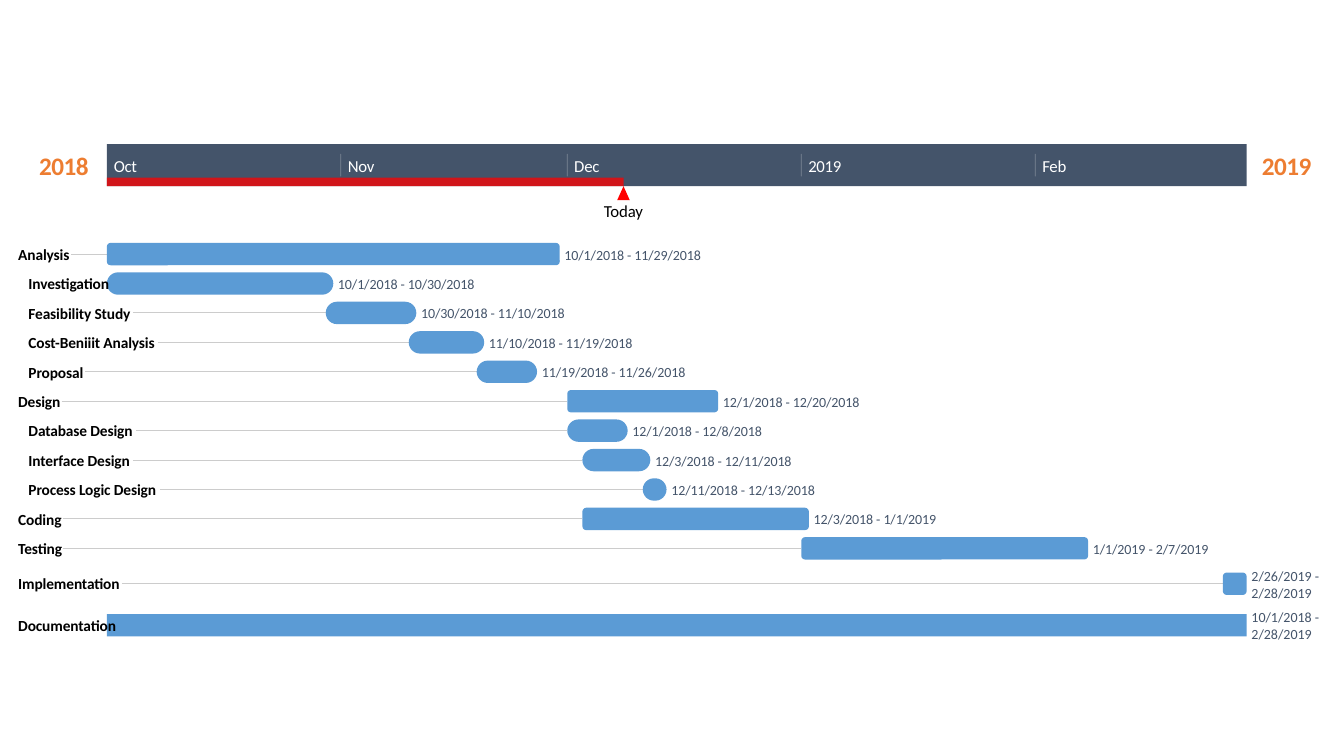
from lxml import etree
from pptx import Presentation, util as u
from pptx.dml import color
from pptx.enum import shapes, text
from pptx.oxml import ns

Pt = u.Pt

# Time scale: days are counted from 1 October 2018
FIRST_DAY = {10: 0, 11: 31, 12: 61, 1: 92, 2: 123}
DAYS = 151
TODAY = 68.45
SCALE_LEFT, SCALE_WIDTH = 76.3, 814.2
SCALE_RIGHT = SCALE_LEFT + SCALE_WIDTH
SCALE_TOP, SCALE_HEIGHT = 103, 30
MONTH_WIDTH = 28

# Rows of tasks
NAME_LEFT, INDENT = 13, 7.3
BAR_HEIGHT, MIN_BAR = 16, 17
ROW, TALL_ROW, FIRST_ROW = 21.02, 29.6, 171


def rgb(value):
    return color.RGBColor.from_string(value)


def x_of(day):
    return SCALE_LEFT + day * SCALE_WIDTH / DAYS


def day_of(date):
    month, day, _ = map(int, date.split("/"))
    return FIRST_DAY[month] + day - 1


class Chart:
    """Style of the Gantt chart and the slide it is drawn on."""
    navy, blue, red, orange = "44546A", "5B9BD5", "FF0000", "ED7D31"
    white, black, grey = "FFFFFF", "000000", "CCCCCC"
    font = "Calibri"

    def __init__(self, page):
        self.page = page

    def fade(self, fill, percent):
        tint = fill._xPr.find(".//" + ns.qn("a:srgbClr"))
        etree.SubElement(tint, ns.qn("a:alpha"), val=str(percent * 1000))

    def shape(self, kind, left, top, width, height, fill, alpha=None, corner=None):
        shape = self.page.shapes.add_shape(
            kind, Pt(left), Pt(top), Pt(width), Pt(height))
        shape.shadow.inherit = False
        shape.fill.solid()
        shape.fill.fore_color.rgb = rgb(fill)
        shape.line.fill.background()
        if alpha:
            self.fade(shape.fill, alpha)
        if corner:
            shape.adjustments[0] = corner

    def line(self, x1, y1, x2, y2, tone, weight, alpha=None):
        line = self.page.shapes.add_connector(
            shapes.MSO_CONNECTOR.STRAIGHT, Pt(x1), Pt(y1), Pt(x2), Pt(y2))
        line.line.width = Pt(weight)
        line.line.color.rgb = rgb(tone)
        if alpha:
            self.fade(line.line.fill, alpha)
        etree.SubElement(line._element.spPr, ns.qn("a:effectLst"))

    def text(self, words, left, middle, width, height, size, tone,
             bold=False, align="LEFT", wrap=False, indent=0, spacing=-10):
        box = self.page.shapes.add_textbox(
            Pt(left), Pt(middle - height / 2), Pt(width), Pt(height))
        frame = {"margin_left": Pt(indent), "margin_right": 0, "margin_top": 0,
                 "margin_bottom": 0, "word_wrap": wrap,
                 "vertical_anchor": text.MSO_ANCHOR.MIDDLE}
        for key, value in frame.items():
            setattr(box.text_frame, key, value)
        para = box.text_frame.paragraphs[0]
        para.alignment = getattr(text.PP_ALIGN, align)
        span = para.add_run()
        span.text = words
        for key, value in {"name": self.font, "size": Pt(size), "bold": bold}.items():
            setattr(span.font, key, value)
        span.font.color.rgb = rgb(tone)
        span._r.get_or_add_rPr().set("spc", str(spacing))


deck = Presentation()
deck.slide_width, deck.slide_height = Pt(960), Pt(540)
chart = Chart(deck.slides.add_slide(deck.slide_layouts[6]))
preset = shapes.MSO_SHAPE

# Years at both ends
for year, left in (("2018", 28), ("2019", 901.4)):
    chart.text(year, left, 118.2, 35.3, 22.3, 18, chart.orange,
               bold=True, align="CENTER", spacing=-40)

# Time scale with elapsed time and today's marker
today = x_of(TODAY)
scale_bottom = SCALE_TOP + SCALE_HEIGHT
chart.shape(preset.RECTANGLE, SCALE_LEFT, SCALE_TOP, SCALE_WIDTH, SCALE_HEIGHT,
            chart.navy)
chart.shape(preset.RECTANGLE, SCALE_LEFT, scale_bottom - 6, today - SCALE_LEFT, 6,
            chart.red, alpha=75)
chart.shape(preset.ISOSCELES_TRIANGLE, today - 4.5, scale_bottom, 9, 10, chart.red)
chart.text("Today", today - 15, 150.8, 30, 14.6, 12, chart.black, align="CENTER")

# Months
for month, day in zip(("Oct", "Nov", "Dec", "2019", "Feb"), FIRST_DAY.values()):
    if day:
        chart.line(x_of(day), 110, x_of(day), 126, chart.white, 0.5, alpha=30)
    chart.text(month, x_of(day) + 5, 118.2, MONTH_WIDTH, 14.6, 12, chart.white,
               spacing=-20)

# Tasks: level, name, width of the name, dates
BLOCK, MAIN, SUB = range(3)
BARS = {BLOCK: (preset.RECTANGLE, None), MAIN: (preset.ROUNDED_RECTANGLE, None),
        SUB: (preset.ROUNDED_RECTANGLE, 0.5)}
tasks = [
    (MAIN, "Analysis", 38, "10/1/2018 - 11/29/2018"),
    (SUB, "Investigation", 67, "10/1/2018 - 10/30/2018"),
    (SUB, "Feasibility Study", 82, "10/30/2018 - 11/10/2018"),
    (SUB, "Cost-Beniiit Analysis", 100, "11/10/2018 - 11/19/2018"),
    (SUB, "Proposal", 48, "11/19/2018 - 11/26/2018"),
    (MAIN, "Design", 31, "12/1/2018 - 12/20/2018"),
    (SUB, "Database Design", 84, "12/1/2018 - 12/8/2018"),
    (SUB, "Interface Design", 82, "12/3/2018 - 12/11/2018"),
    (SUB, "Process Logic Design", 101, "12/11/2018 - 12/13/2018"),
    (MAIN, "Coding", 32, "12/3/2018 - 1/1/2019"),
    (MAIN, "Testing", 32, "1/1/2019 - 2/7/2019"),
    (MAIN, "Implementation", 74, "2/26/2019 - 2/28/2019"),
    (BLOCK, "Documentation", 71, "10/1/2018 - 2/28/2019"),
]
top = FIRST_ROW
for level, name, name_width, dates in tasks:
    start, end = map(day_of, dates.split(" - "))
    at_edge = end + 1 == DAYS
    height = TALL_ROW if at_edge else ROW
    middle = top + height / 2
    top += height

    # Bar and its leader line
    width = max(x_of(end + 1) - x_of(start), MIN_BAR)
    left = min(x_of(start), SCALE_RIGHT - width)
    if NAME_LEFT + name_width < left:
        chart.line(NAME_LEFT + name_width, middle, left, middle, chart.grey, 0.75)
    kind, corner = BARS[level]
    chart.shape(kind, left, middle - BAR_HEIGHT / 2, width, BAR_HEIGHT,
                chart.blue, corner=corner)

    # Dates, on two lines at the right edge, and name
    dates_width = 51 if at_edge else 5.2 * len(dates) - 14.5
    chart.text(dates, left + width + 3.4, middle + 0.3, dates_width,
               24.4 if at_edge else 12.2, 10, chart.navy, wrap=at_edge,
               spacing=0 if at_edge else -5)
    chart.text(name, NAME_LEFT, middle, name_width, 13.4, 11, chart.black,
               bold=True, indent=INDENT if level == SUB else 0)

deck.save("out.pptx")
